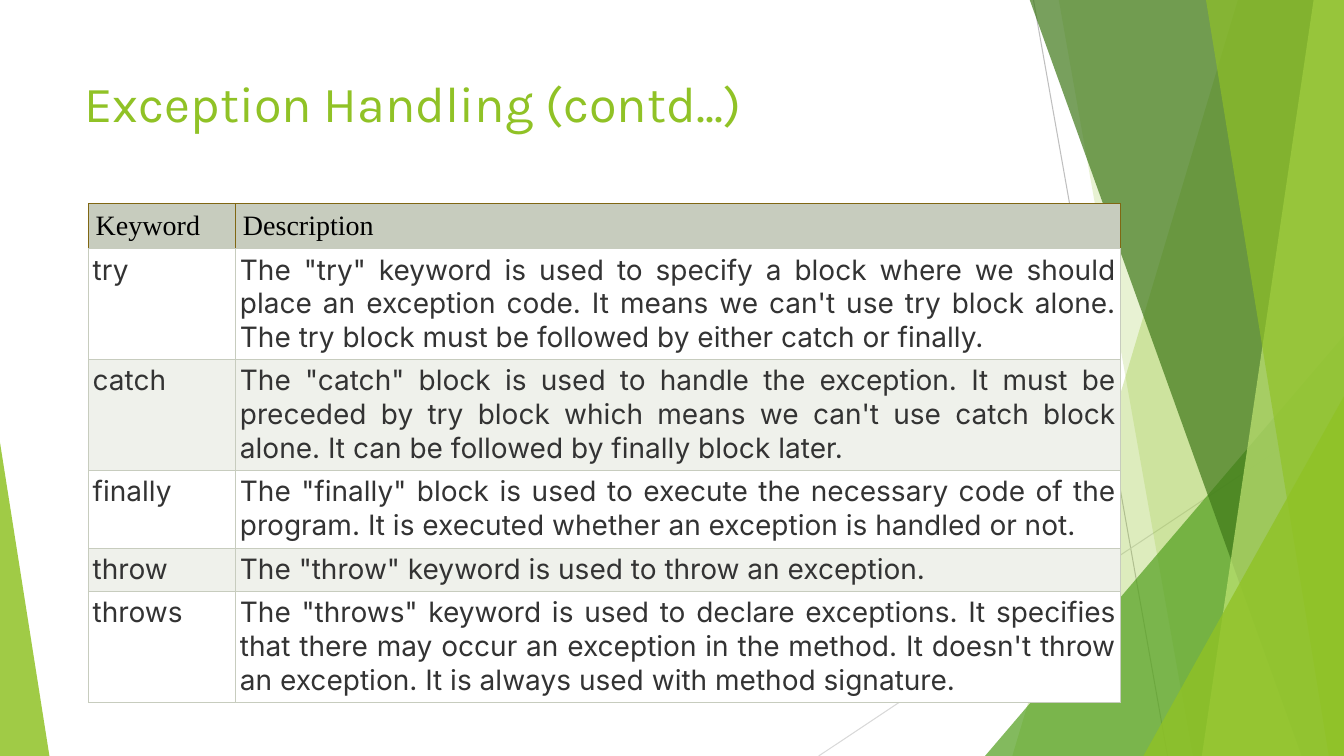
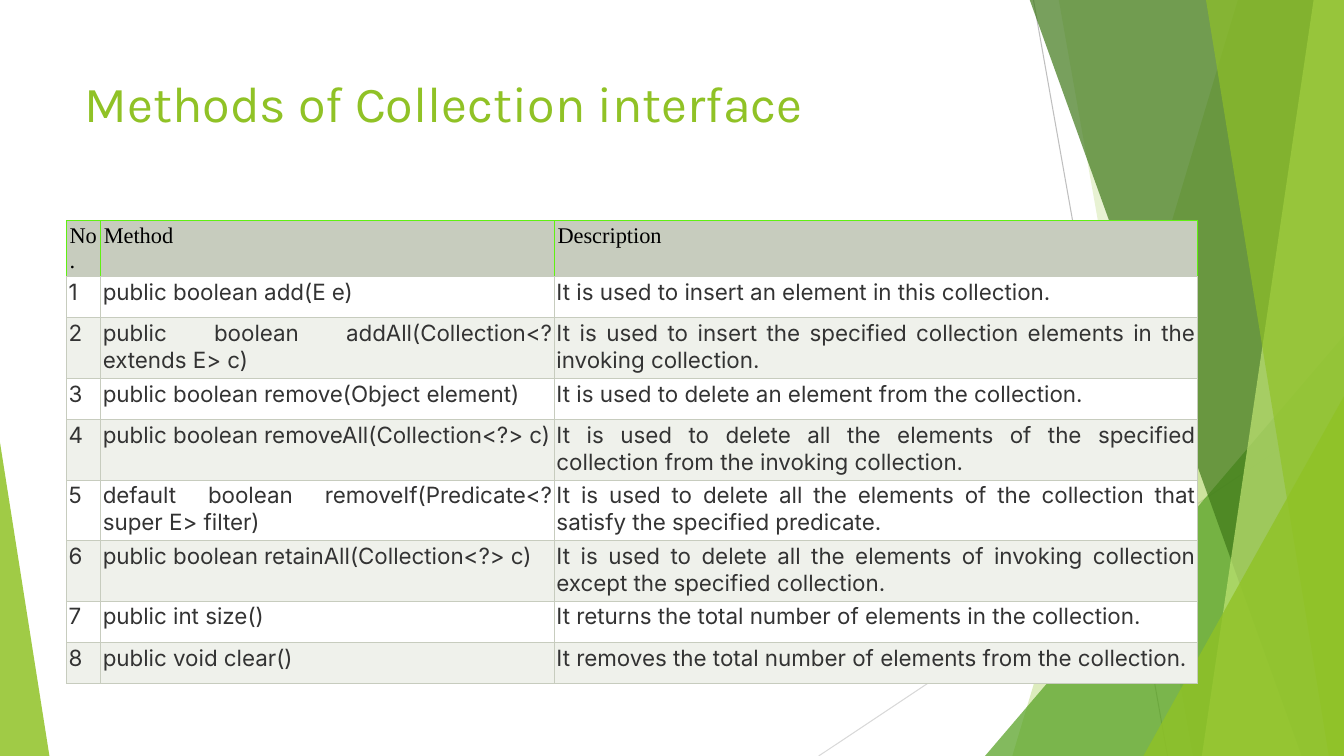
from lxml.etree import SubElement
from pptx import Presentation
from pptx.dml.color import RGBColor
from pptx.enum.shapes import MSO_CONNECTOR, MSO_SHAPE
from pptx.enum.text import MSO_ANCHOR, MSO_AUTO_SIZE, PP_ALIGN
from pptx.oxml.ns import qn
from pptx.util import Inches, Pt

COLORS = {
    "lime": "90C226", "leaf": "54A021", "forest": "3F7819", "pale": "C0E474",
    "ray": "BFBFBF", "soft_ray": "D9D9D9",
    "head": "C7CCBE", "odd": "FFFFFF", "even": "EFF1EB",
    "black": "000000", "ink": "333333", "bronze": "806713", "neon": "60F012",
}
SLIDE_W, SLIDE_H = 13.33, 7.5
BLEED = -0.01

RAYS = [((10.25, 0), (11.58, SLIDE_H), "ray"), ((SLIDE_W, 4.03), (8.12, SLIDE_H), "soft_ray")]
FACETS = [
    ("band", (12.28, 10.04), "lime", 30),
    ("band", (10.5, 11.83), "lime", 20),
    ("triangle", (9.77, 3.33, 3.56, 1), "leaf", 72),
    ("band", (10.21, 12.91), "forest", 70),
    ("band", (13.03, 11.92), "pale", 70),
    ("band", (11.96, 13.18), "lime", 65),
    ("triangle", (11.34, 3.93, 1.99, 1), "lime", 80),
    ("triangle", (0, 4.39, 0.49, 0), "lime", 85),
]

TITLE_BOX = {"left": 0.74, "top": 0.67, "width": 9.4, "height": 1.44}
TITLE_FONT = {"name": "Karla", "size": Pt(36), "bold": False}

PAGES = [
    {
        "title": "Exception Handling (contd...)",
        "at": (0.88, 2.02), "cols": [1.46, 8.77],
        "heights": [0.44, 1.1, 1.1, 0.77, 0.43, 1.1],
        "size": 20, "insets": (0.07, 0.04), "head_edge": "bronze",
        "rows": [
            ("Keyword", "Description"),
            ("try", "The \"try\" keyword is used to specify a block where we should place an exception code. "
                    "It means we can't use try block alone. The try block must be followed by either catch or finally."),
            ("catch", "The \"catch\" block is used to handle the exception. It must be preceded by try block "
                      "which means we can't use catch block alone. It can be followed by finally block later."),
            ("finally", "The \"finally\" block is used to execute the necessary code of the program. "
                        "It is executed whether an exception is handled or not."),
            ("throw", "The \"throw\" keyword is used to throw an exception."),
            ("throws", "The \"throws\" keyword is used to declare exceptions. It specifies that there may occur "
                       "an exception in the method. It doesn't throw an exception. "
                       "It is always used with method signature."),
        ],
    },
    {
        "title": "Methods of Collection interface",
        "at": (0.66, 2.19), "cols": [0.34, 4.5, 6.38],
        "heights": [0.55, 0.41, 0.6, 0.41, 0.6, 0.6, 0.6, 0.41, 0.41],
        "size": 16, "insets": (0.03, 0.02), "head_edge": "neon",
        "rows": [
            ("No.", "Method", "Description"),
            ("1", "public boolean add(E e)", "It is used to insert an element in this collection."),
            ("2", "public boolean addAll(Collection<? extends E> c)",
             "It is used to insert the specified collection elements in the invoking collection."),
            ("3", "public boolean remove(Object element)", "It is used to delete an element from the collection."),
            ("4", "public boolean removeAll(Collection<?> c)",
             "It is used to delete all the elements of the specified collection from the invoking collection."),
            ("5", "default boolean removeIf(Predicate<? super E> filter)",
             "It is used to delete all the elements of the collection that satisfy the specified predicate."),
            ("6", "public boolean retainAll(Collection<?> c)",
             "It is used to delete all the elements of invoking collection except the specified collection."),
            ("7", "public int size()", "It returns the total number of elements in the collection."),
            ("8", "public void clear()", "It removes the total number of elements from the collection."),
        ],
    },
]


def rgb(color):
    return RGBColor.from_string(COLORS[color])


def paint(fill, color):
    fill.solid()
    fill.fore_color.rgb = rgb(color)


def style_font(font, values, color):
    for key, value in values.items():
        setattr(font, key, value)
    font.color.rgb = rgb(color)


def draw_ray(shapes, start, end, color):
    ray = shapes.add_connector(MSO_CONNECTOR.STRAIGHT, *map(Inches, start + end))
    ray.line.color.rgb = rgb(color)
    ray.line.width = Pt(0.75)
    SubElement(ray.element.spPr, qn("a:effectLst"))


def draw_facet(shapes, kind, geometry, color, opacity):
    if kind == "band":
        top_x, bottom_x = geometry
        corners = [(SLIDE_W, BLEED), (SLIDE_W, SLIDE_H), (bottom_x, SLIDE_H)]
        outline = shapes.build_freeform(Inches(top_x), Inches(BLEED))
        outline.add_line_segments([(Inches(x), Inches(y)) for x, y in corners], close=True)
        facet = outline.convert_to_shape()
    else:
        left, top, width, apex = geometry
        facet = shapes.add_shape(MSO_SHAPE.ISOSCELES_TRIANGLE,
                                 *map(Inches, (left, top, width, SLIDE_H - top)))
        facet.adjustments[0] = apex
    facet.shadow.inherit = False
    facet.line.fill.background()
    paint(facet.fill, color)
    tint = facet.element.spPr.find(qn("a:solidFill"))[0]
    SubElement(tint, qn("a:alpha"), val=str(opacity * 1000))


def set_up_layout(layout, slide):
    backdrop = slide.shapes.add_group_shape()
    for ray in RAYS:
        draw_ray(backdrop.shapes, *ray)
    for facet in FACETS:
        draw_facet(backdrop.shapes, *facet)
    tree = layout.shapes.element
    tree.insert(2, backdrop.element)
    for number, part in enumerate(tree.iter(qn("p:cNvPr")), 1):
        part.set("id", str(number))
    title = layout.placeholders[0]
    for side, value in TITLE_BOX.items():
        setattr(title, side, Inches(value))


def add_title(slide, text):
    title = slide.shapes.title
    title.text = text
    frame = title.text_frame
    frame.auto_size = MSO_AUTO_SIZE.NONE
    frame.vertical_anchor = MSO_ANCHOR.TOP
    frame.paragraphs[0].alignment = PP_ALIGN.LEFT
    style_font(frame.paragraphs[0].runs[0].font, TITLE_FONT, "lime")


def set_borders(cell, edges):
    properties = cell._tc.get_or_add_tcPr()
    for side, color in zip("LRTB", edges):
        line = SubElement(properties, qn(f"a:ln{side}"), w=str(Pt(0.75)))
        SubElement(SubElement(line, qn("a:solidFill")), qn("a:srgbClr"), val=COLORS[color])


def fill_cell(cell, text, row, page):
    header = row == 0
    edge = page["head_edge"] if header else "head"
    set_borders(cell, (edge, edge, edge, "head"))
    paint(cell.fill, "head" if header else ("even", "odd")[row % 2])
    inset = Inches(page["insets"][0 if header else 1])
    for side in ("left", "right", "top", "bottom"):
        setattr(cell, f"margin_{side}", inset)
    cell.text = text
    paragraph = cell.text_frame.paragraphs[0]
    paragraph.alignment = PP_ALIGN.LEFT if header else PP_ALIGN.JUSTIFY
    face = {"name": "Times New Roman" if header else "Inter", "size": Pt(page["size"]), "bold": False}
    style_font(paragraph.runs[0].font, face, "black" if header else "ink")


def add_page_table(slide, page):
    rows, cols, heights = page["rows"], page["cols"], page["heights"]
    box = (*page["at"], sum(cols), sum(heights))
    table = slide.shapes.add_table(len(rows), len(cols), *map(Inches, box)).table
    table.first_row = table.horz_banding = False
    for column, width in zip(table.columns, cols):
        column.width = Inches(width)
    for line, height in zip(table.rows, heights):
        line.height = Inches(height)
    for r, texts in enumerate(rows):
        for c, text in enumerate(texts):
            fill_cell(table.cell(r, c), text, r, page)


def main():
    deck = Presentation()
    deck.slide_width, deck.slide_height = Inches(SLIDE_W), Inches(SLIDE_H)
    layout = deck.slide_layouts[5]
    slides = [deck.slides.add_slide(layout) for _ in PAGES]
    set_up_layout(layout, slides[0])
    for slide, page in zip(slides, PAGES):
        add_title(slide, page["title"])
        add_page_table(slide, page)
    deck.save("out.pptx")


if __name__ == "__main__":
    main()
